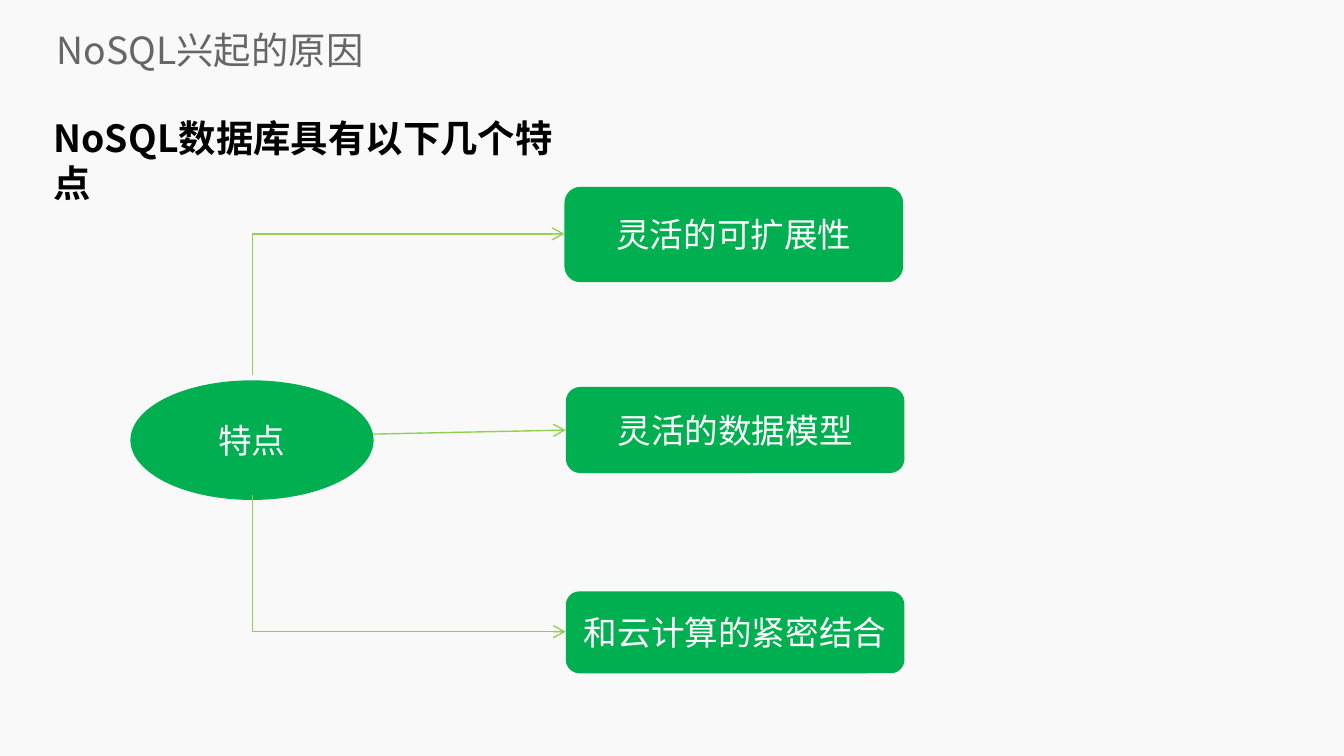
from pptx import Presentation
from pptx.dml.color import RGBColor
from pptx.enum.shapes import MSO_CONNECTOR as Connector, MSO_SHAPE as Shape
from pptx.enum.text import MSO_ANCHOR as Anchor, PP_ALIGN as Align
from pptx.oxml.ns import qn
from pptx.util import Inches, Pt
from lxml.etree import SubElement

FONT = "Noto Sans CJK SC"
COLORS = {
    "background": "F9F9F9",
    "title": "666666",
    "heading": "000000",
    "node": "00B050",
    "node_text": "FFFFFF",
    "arrow": "92D050",
}


def color(name):
    return RGBColor.from_string(COLORS[name])


def add_run(paragraph, text, size, color_name, bold=False):
    run = paragraph.add_run()
    run.text = text
    run.font.size = Pt(size)
    run.font.bold = bold
    run.font.name = FONT
    run.font.color.rgb = color(color_name)
    SubElement(run.font._element, qn("a:ea")).set("typeface", FONT)


def add_label(slide, box, text, color_name, bold=False, inset=None, anchor=Anchor.TOP):
    label = slide.shapes.add_textbox(*map(Inches, box))
    frame = label.text_frame
    frame.word_wrap = True
    frame.vertical_anchor = anchor
    if inset is not None:
        frame.margin_left = frame.margin_right = Inches(inset)
        frame.margin_top = frame.margin_bottom = Inches(inset)
    add_run(frame.paragraphs[0], text, 20, color_name, bold)


def add_node(slide, preset, box, text):
    node = slide.shapes.add_shape(preset, *map(Inches, box))
    node.shadow.inherit = False
    node.fill.solid()
    node.fill.fore_color.rgb = color("node")
    node.line.fill.background()
    frame = node.text_frame
    frame.word_wrap = True
    frame.vertical_anchor = Anchor.MIDDLE
    frame.paragraphs[0].alignment = Align.CENTER
    add_run(frame.paragraphs[0], text, 18, "node_text")
    return node


def add_arrow(slide, kind, start, end):
    arrow = slide.shapes.add_connector(kind, *map(Inches, start + end))
    arrow.line.color.rgb = color("arrow")
    arrow.line.width = Pt(0.75)
    SubElement(arrow.line._get_or_add_ln(), qn("a:tailEnd")).set("type", "arrow")
    SubElement(arrow._element.spPr, qn("a:effectLst"))
    return arrow


def add_corner_arrow(slide, start, end):
    """Arrow that runs vertically from start, then horizontally to end."""
    (x1, y1), (x2, y2) = start, end
    # The preset runs across first, so it is laid out unrotated and then turned
    center_x, center_y = (x1 + x2) / 2, (y1 + y2) / 2
    half_width, half_height = abs(y2 - y1) / 2, (x2 - x1) / 2
    rises = y2 < y1
    if rises:
        half_height = -half_height
    arrow = add_arrow(
        slide, Connector.ELBOW,
        (center_x + half_width, center_y - half_height),
        (center_x - half_width, center_y + half_height),
    )
    properties = arrow._element.spPr
    properties.find(qn("a:prstGeom")).set("prst", "bentConnector2")
    properties.find(qn("a:xfrm")).set("rot", str((90 if rises else 270) * 60000))


def main():
    deck = Presentation()
    deck.slide_width = Inches(10)
    deck.slide_height = deck.slide_width * 9 // 16
    slide = deck.slides.add_slide(deck.slide_layouts[6])
    slide.background.fill.solid()
    slide.background.fill.fore_color.rgb = color("background")

    # Title
    add_label(slide, (0.42, 0.18, 9.43, 0.38), "NoSQL兴起的原因", "title",
              inset=0, anchor=Anchor.MIDDLE)

    # Central topic and its three features
    add_node(slide, Shape.OVAL, (0.97, 2.83, 1.81, 0.89), "特点")
    features = [
        ("灵活的可扩展性", 4.2, 1.39, 0.71),
        ("灵活的数据模型", 4.21, 2.88, 0.64),
        ("和云计算的紧密结合", 4.21, 4.4, 0.61),
    ]
    scaling, data_model, cloud = [
        add_node(slide, Shape.ROUNDED_RECTANGLE, (left, top, 2.52, height), text)
        for text, left, top, height in features
    ]

    # Arrows from the topic to each feature
    add_corner_arrow(slide, (1.88, 2.79), (scaling.left.inches, 1.74))
    to_model = add_arrow(slide, Connector.STRAIGHT, (2.78, 3.23), (4.21, 3.2))
    to_model.end_connect(data_model, 1)
    add_corner_arrow(slide, (1.88, 3.68), (cloud.left.inches, 4.7))

    # Heading
    add_label(slide, (0.3, 0.81, 3.99, 0.44), "NoSQL数据库具有以下几个特点",
              "heading", bold=True)

    deck.save("out.pptx")


if __name__ == "__main__":
    main()
